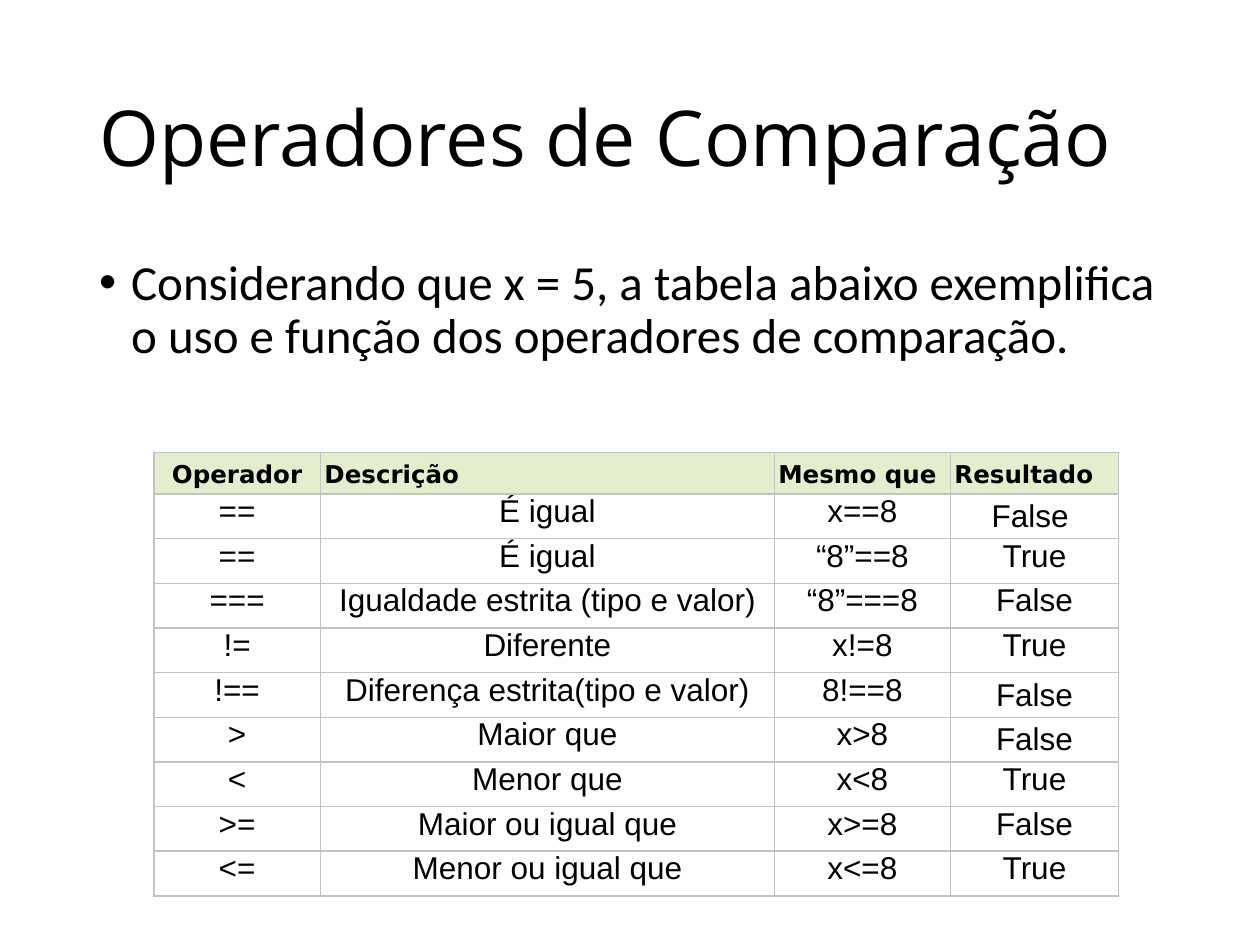
from dataclasses import dataclass

from lxml import etree
from pptx import Presentation
from pptx import util as u
from pptx.dml.color import RGBColor
from pptx.enum import text
from pptx.oxml.ns import qn

BLACK, GREEN, GREY = "000000", "E5EECC", "C3C3C3"
LEFT, CENTER = text.PP_ALIGN.LEFT, text.PP_ALIGN.CENTER
TOP, MIDDLE = text.MSO_ANCHOR.TOP, text.MSO_ANCHOR.MIDDLE


@dataclass
class CellStyle:
    font: str
    size: int
    bold: bool = False
    align: text.PP_ALIGN = CENTER
    anchor: text.MSO_ANCHOR = TOP
    spacing: float = 1.0
    margin: float = 0
    top: float = 0
    fill: str = ""


@dataclass
class Operator:
    symbol: str
    description: str
    example: str
    result: str
    result_top: float = 0
    result_anchor: text.MSO_ANCHOR = TOP


HEADERS = ["Operador", "Descrição", "Mesmo que", "Resultado"]
OPERATORS = [
    Operator("==", "É igual", "x==8", "False ", result_anchor=MIDDLE),
    Operator("==", "É igual", "“8”==8", "True"),
    Operator("===", "Igualdade estrita (tipo e valor)", "“8”===8", "False"),
    Operator("!=", "Diferente", "x!=8", "True"),
    Operator("!==", "Diferença estrita(tipo e valor)", "8!==8", "False", 0.1),
    Operator(">", "Maior que", "x>8", "False", 0.1),
    Operator("<", "Menor que", "x<8", "True"),
    Operator(">=", "Maior ou igual que", "x>=8", "False"),
    Operator("<=", "Menor ou igual que", "x<=8", "True"),
]
COL_WIDTHS = [3.36, 9.15, 3.55, 3.39]
HEADER_HEIGHT, ROW_HEIGHT = 0.84, 0.9


def color(value: str) -> RGBColor:
    return RGBColor.from_string(value)


def set_font(p, name: str, size: int, bold: bool = False) -> None:
    p.font.name, p.font.size, p.font.bold = name, u.Pt(size), bold
    p.font.color.rgb = color(BLACK)


def fill_placeholder(sp, box: tuple, content: str, font: str, size: int):
    sp.left, sp.top, sp.width, sp.height = (u.Cm(v) for v in box)
    tf = sp.text_frame
    tf.text = content
    tf.auto_size = text.MSO_AUTO_SIZE.NONE
    p = tf.paragraphs[0]
    p.alignment, p.line_spacing = LEFT, 0.9
    set_font(p, font, size)
    return p


def add_borders(cell) -> None:
    tc_pr = cell._tc.get_or_add_tcPr()
    for side in ("lnL", "lnR", "lnT", "lnB"):
        ln = etree.SubElement(tc_pr, qn(f"a:{side}"), w=str(u.Pt(1)))
        fill = etree.SubElement(ln, qn("a:solidFill"))
        etree.SubElement(fill, qn("a:srgbClr"), val=GREY)


def fill_cell(cell, content: str, style: CellStyle) -> None:
    cell.text = content
    cell.vertical_anchor = style.anchor
    cell.margin_left = cell.margin_right = cell.margin_bottom = u.Cm(style.margin)
    cell.margin_top = u.Cm(style.top)
    p = cell.text_frame.paragraphs[0]
    p.alignment, p.line_spacing = style.align, style.spacing
    set_font(p, style.font, style.size, style.bold)
    add_borders(cell)
    if style.fill:
        cell.fill.solid()
        cell.fill.fore_color.rgb = color(style.fill)
    else:
        cell.fill.background()


def add_operator_table(s) -> None:
    height = HEADER_HEIGHT + ROW_HEIGHT * len(OPERATORS)
    table = s.shapes.add_table(
        len(OPERATORS) + 1, len(HEADERS), u.Cm(3.1), u.Cm(9.12),
        u.Cm(sum(COL_WIDTHS)), u.Cm(height)).table
    table.first_row = table.horz_banding = False
    for column, width in zip(table.columns, COL_WIDTHS):
        column.width = u.Cm(width)
    for i, row in enumerate(table.rows):
        row.height = u.Cm(ROW_HEIGHT if i else HEADER_HEIGHT)

    # Header row
    for c, header in enumerate(HEADERS):
        fill_cell(table.cell(0, c), header, CellStyle(
            "DejaVu Sans", 14, True, LEFT if c else CENTER,
            spacing=1.15, margin=0.08, top=0.08, fill=GREEN))

    # One row per operator
    plain = CellStyle("Arial", 18)
    for r, op in enumerate(OPERATORS, 1):
        for c, content in enumerate((op.symbol, op.description, op.example)):
            fill_cell(table.cell(r, c), content, plain)
        fill_cell(table.cell(r, 3), op.result, CellStyle(
            "Arial", 18, anchor=op.result_anchor, top=op.result_top))


def main() -> None:
    prs = Presentation()
    prs.slide_width, prs.slide_height = u.Cm(25.4), u.Cm(19.05)
    s = prs.slides.add_slide(prs.slide_layouts[1])

    # Title and introduction
    fill_placeholder(s.shapes.title, (1.75, 1.01, 21.9, 3.68),
                     "Operadores de Comparação", "Open Sans", 44)
    p = fill_placeholder(
        s.placeholders[1], (1.75, 5.08, 21.9, 12.09),
        "Considerando que x = 5, a tabela abaixo exemplifica o uso e função "
        "dos operadores de comparação.", "Calibri", 28)
    p_pr = p._p.get_or_add_pPr()
    p_pr.set("marL", str(u.Cm(0.64)))
    p_pr.set("indent", str(u.Cm(-0.64)))

    add_operator_table(s)
    prs.save("out.pptx")


if __name__ == "__main__":
    main()
